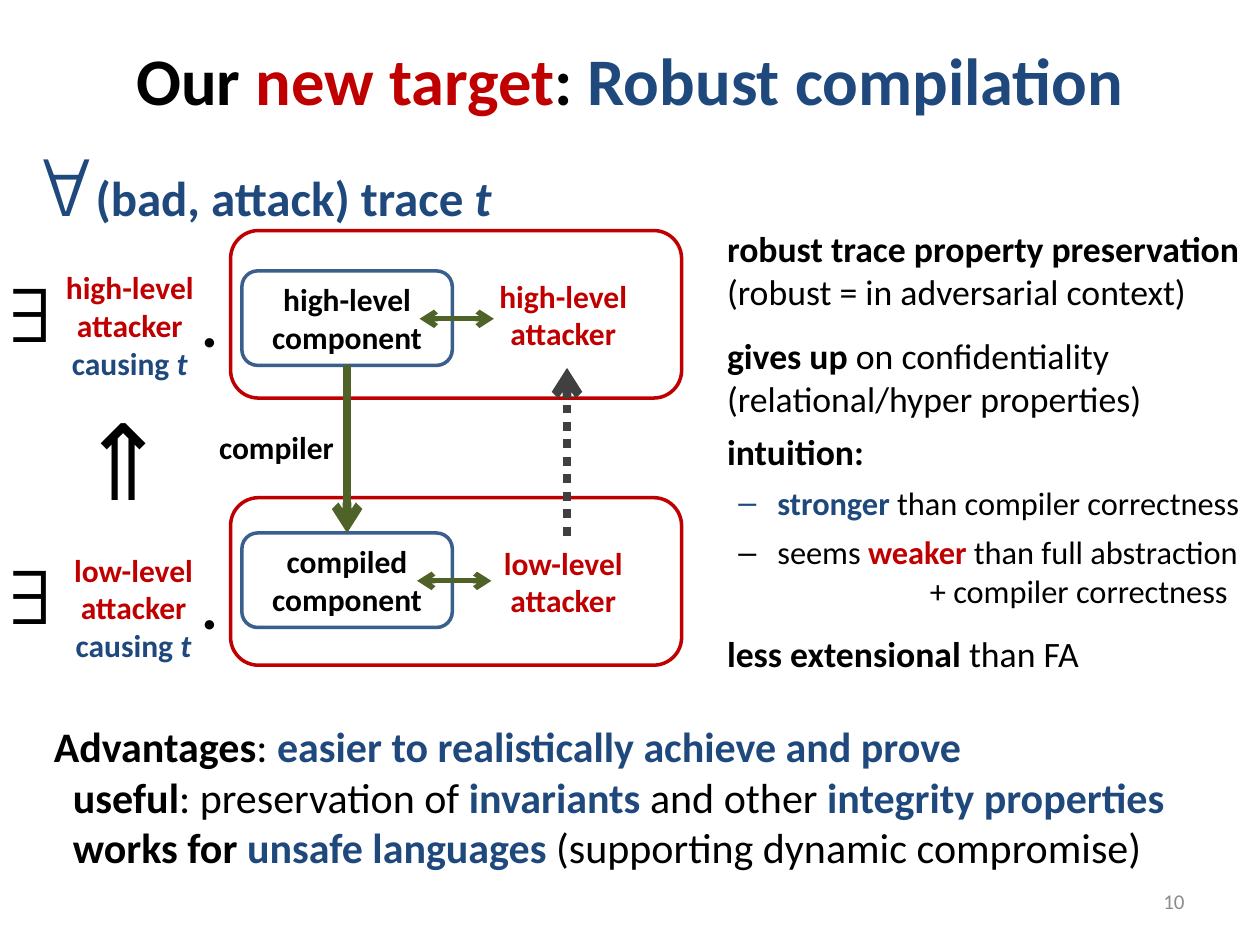
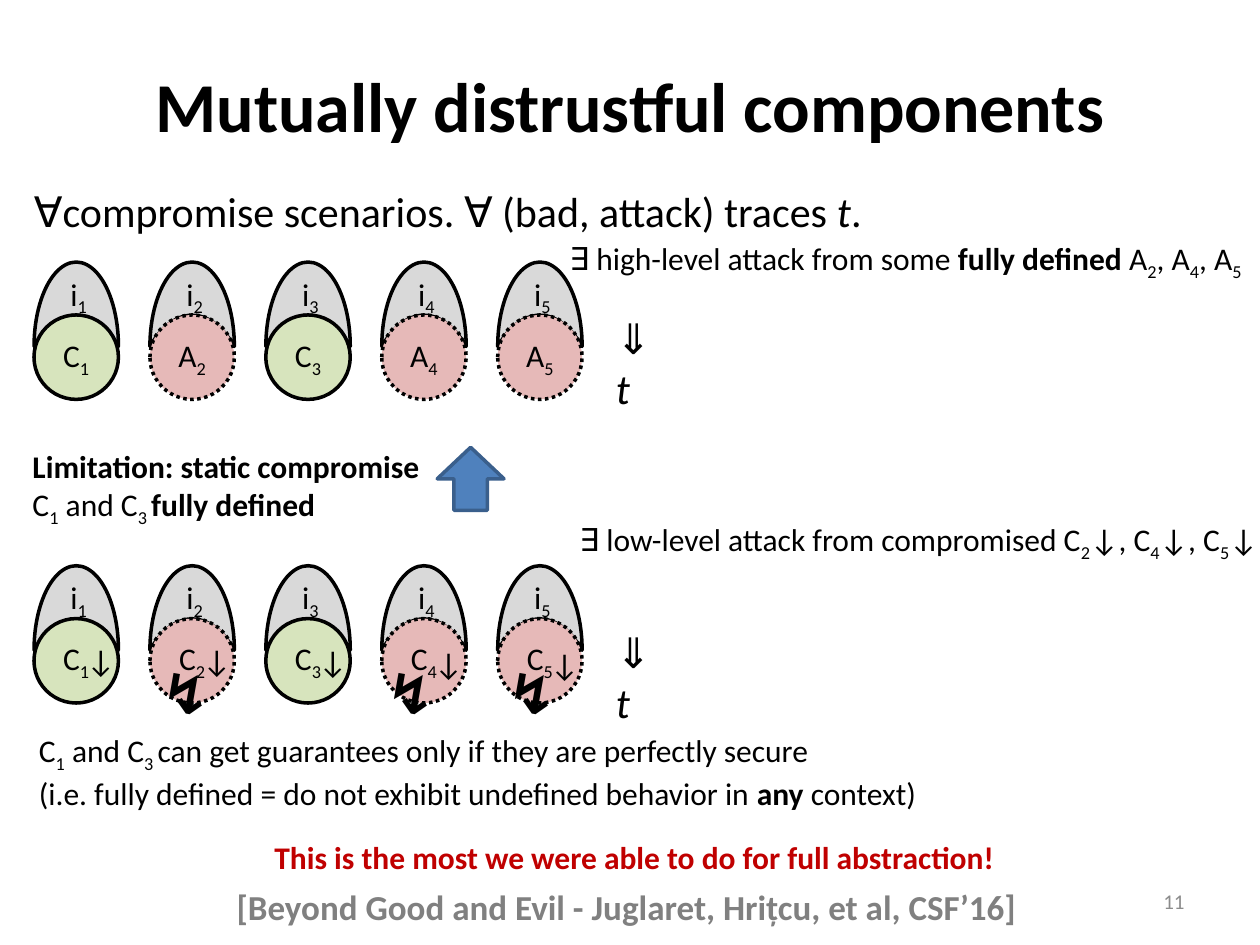
import dataclasses
import lxml.etree
import pptx
import pptx.dml.color
import pptx.enum.dml
import pptx.enum.shapes
import pptx.enum.text
import pptx.oxml.ns
import pptx.util

Inches = pptx.util.Inches
Form = pptx.enum.shapes.MSO_SHAPE
Align = pptx.enum.text.PP_ALIGN
Fit = pptx.enum.text.MSO_AUTO_SIZE
Anchor = pptx.enum.text.MSO_ANCHOR
qn = pptx.oxml.ns.qn


@dataclasses.dataclass(frozen=True)
class Theme:
    font: str = "Calibri"
    mono: str = "Courier New"
    black: str = "000000"
    white: str = "FFFFFF"
    red: str = "C00000"
    navy: str = "1F497D"
    blue: str = "4F81BD"
    edge: str = "3A5F8C"
    olive: str = "4F6228"
    dark: str = "404040"
    grey: str = "808080"
    pale: str = "8C8C8C"
    moon: str = "D9D9D9"
    green: str = "D7E4BD"
    pink: str = "E6B9B8"
    small: float = 12
    text: float = 18
    sub: float = 18.5
    body: float = 20.4
    cite: float = 20
    large: float = 24
    trace: float = 28
    bolt: float = 32
    dot: float = 36
    title: float = 38
    head: float = 40
    sign: float = 54
    imply: float = 60


def tint(code):
    return pptx.dml.color.RGBColor.from_string(code)


class Deck:
    def __init__(self, theme):
        self.theme = theme
        self.show = pptx.Presentation()
        self.show.slide_width = Inches(10)
        self.show.slide_height = Inches(7.5)
        self.inks = {"r": theme.red, "n": theme.navy, "y": theme.grey, "p": theme.pale}

    def start(self, form, page):
        self.slide = self.show.slides.add_slide(self.show.slide_layouts[form])
        self.pool = self.slide.shapes
        self.text((7.17, 6.95, 2.33, 0.4), f"p|{page}", self.theme.small,
                  Align.RIGHT, wrap=True).text_frame.vertical_anchor = Anchor.MIDDLE

    def group(self):
        self.pool = self.slide.shapes.add_group_shape().shapes

    def leave(self):
        self.pool = self.slide.shapes

    def style(self, run, code, size):
        font = run.font
        font.name = self.theme.mono if "m" in code else self.theme.font
        font.size = pptx.util.Pt(self.theme.sign if "m" in code else size)
        font.bold = "b" in code
        font.italic = "i" in code
        ink = next((self.inks[c] for c in code if c in self.inks), self.theme.black)
        font.color.rgb = tint(ink)
        if "s" in code:
            run._r.get_or_add_rPr().set("baseline", "-25000")
        if "k" in code:
            run._r.get_or_add_rPr().set("spc", "-150")

    def fill(self, frame, words, size, align=Align.LEFT):
        lines = words.split("\n")
        frame.text = "\n" * (len(lines) - 1)
        for para, line in zip(frame.paragraphs, lines):
            para.alignment = align
            bits = line.split("|")
            para.text = bits[1]
            for run in para.runs:
                self.style(run, bits[0], size)
            for code, part in zip(bits[2::2], bits[3::2]):
                run = para.add_run()
                run.text = part
                self.style(run, code, size)

    def place(self, shape, box):
        shape.left, shape.top, shape.width, shape.height = map(Inches, box)

    def title(self, box, words, size, space=1.0):
        shape = self.slide.shapes.title
        self.place(shape, box)
        frame = shape.text_frame
        frame.auto_size = Fit.NONE
        frame.vertical_anchor = Anchor.MIDDLE
        self.fill(frame, words, size, Align.CENTER)
        frame.paragraphs[0].line_spacing = space

    def indent(self, para, left, hang=0, mark=None):
        props = para._p.get_or_add_pPr()
        props.set("marL", str(Inches(left)))
        props.set("indent", str(Inches(hang)))
        if mark:
            lxml.etree.SubElement(props, qn("a:buChar"), char=mark)
        else:
            lxml.etree.SubElement(props, qn("a:buNone"))

    def body(self, box, rows):
        shape = self.slide.placeholders[1]
        self.place(shape, box)
        frame = shape.text_frame
        frame.auto_size = Fit.NONE
        self.fill(frame, "\n".join(row[0] for row in rows), self.theme.body)
        for para, (words, gap, left, mark) in zip(frame.paragraphs, rows):
            para.space_before = pptx.util.Pt(gap)
            if left:
                para.level = 1
                for run in para.runs:
                    run.font.size = pptx.util.Pt(self.theme.sub)
            self.indent(para, left, -0.31 if mark else 0, mark)

    def text(self, box, words, size=None, align=Align.LEFT, wrap=False, turn=0):
        shape = self.pool.add_textbox(*map(Inches, box))
        shape.rotation = turn
        frame = shape.text_frame
        frame.word_wrap = wrap
        frame.auto_size = Fit.SHAPE_TO_FIT_TEXT
        self.fill(frame, words, size or self.theme.text, align)
        return shape

    def shape(self, form, box, fill, line, words="", dots=False, turn=0, inset=0.1):
        shape = self.pool.add_shape(form, *map(Inches, box))
        shape.shadow.inherit = False
        shape.rotation = turn
        shape.fill.solid()
        shape.fill.fore_color.rgb = tint(fill)
        self.stroke(shape.line, line, 2, dots)
        if words:
            frame = shape.text_frame
            frame.margin_left = Inches(inset)
            frame.vertical_anchor = Anchor.MIDDLE
            self.fill(frame, words, self.theme.text, Align.CENTER)
        return shape

    def stroke(self, line, ink, width, dots):
        line.color.rgb = tint(ink)
        line.width = pptx.util.Pt(width)
        if dots:
            line.dash_style = pptx.enum.dml.MSO_LINE.ROUND_DOT

    def arrow(self, ends, ink, width, both=False, dots=False):
        link = self.pool.add_connector(pptx.enum.shapes.MSO_CONNECTOR.STRAIGHT,
                                       *map(Inches, ends))
        self.stroke(link.line, ink, width, dots)
        line = link.line._get_or_add_ln()
        for tag in ("a:headEnd", "a:tailEnd")[0 if both else 1:]:
            lxml.etree.SubElement(line, qn(tag), type="arrow")
        lxml.etree.SubElement(link._element.spPr, qn("a:effectLst"))
        return link


def robust(deck):
    look = deck.theme
    deck.start(1, 10)
    deck.title((0.5, 0, 9, 1.25),
               "b|Our |br|new target|b|: |bn|Robust compilation", look.title)
    deck.body((5.67, 1.75, 5.08, 3.88), [
        ("b|robust trace property preservation\v||(robust = in adversarial context)", 12, 0, None),
        ("b|gives up|| on confidentiality (relational/hyper properties)", 12, 0, None),
        ("b|intuition:", 6, 0, None),
        ("bn|stronger ||than compiler correctness", 6, 0.4, "–"),
        ("|seems |br|weaker ||than full abstraction", 6, 0.4, "–"),
        ("|+ compiler correctness", 0, 1.61, None),
        ("b|less extensional|| than FA", 12, 0, None),
    ])
    for top, level in ((1.83, "high"), (3.95, "low")):
        deck.shape(Form.ROUNDED_RECTANGLE, (1.83, top, 3.58, 1.33), look.white,
                   look.red, f"br|{level}-level\vattacker", inset=1.8)
    source, target = [
        deck.shape(Form.ROUNDED_RECTANGLE, (1.92, top, 1.67, 0.75), look.white,
                   look.edge, f"b|{name}\vcomponent")
        for top, name in ((2.15, "high-level"), (4.23, "compiled"))]
    for left, top in ((3.31, 4.61), (3.33, 2.53)):
        deck.arrow((left, top, left + 0.59, top), look.olive, 3, both=True)
    for top, level, width in ((2.08, "high", 1.32), (4.32, "low", 1.38)):
        deck.text((0.37, top, width, 1.01),
                  f"br|{level}-level\vattacker\nbn|causing |bni|t",
                  align=Align.CENTER, wrap=True)
        deck.text((-0.08, top - 0.16, 0.66, 1.01), "bm|∃")
        deck.text((1.5, top + 0.13, 0.34, 0.71), "b|.", look.dot)
    link = deck.arrow((2.75, 2.9, 2.75, 4.23), look.olive, 5)
    link.begin_connect(source, 2)
    link.end_connect(target, 0)
    deck.text((1.63, 3.35, 1.12, 0.4), "b|compiler", align=Align.RIGHT)
    deck.arrow((4.5, 4.25, 4.5, 2.92), look.dark, 5, dots=True)
    deck.text((0.21, 0.92, 3.85, 1.01),
              "bmn|∀|bn|(bad, attack) trace |bni|t", look.trace)
    gains = deck.text(
        (0.33, 5.67, 9.11, 1.31),
        "b|Advantages||: |bn|easier to realistically achieve and prove\n"
        "b|useful||: preservation of |bn|invariants ||and other |bn|integrity properties\n"
        "b|works for |bn|unsafe languages|| (supporting dynamic compromise)", look.large)
    for para in gains.text_frame.paragraphs[1:]:
        deck.indent(para, 0.15)
    deck.text((0.45, 3.1, 0.93, 1.11), "|⇒", look.imply, turn=270)


def row(deck, top, names, low):
    look = deck.theme
    deck.group()
    for spot, name in enumerate(names):
        left = 0.27 + 0.92 * spot
        held = spot in (1, 3, 4)
        moon = deck.shape(Form.MOON, (left, top, 0.67, 0.67), look.moon, look.black, turn=90)
        moon.adjustments[0] = 0.63
        deck.text((left + 0.19, top + 0.05, 0.35, 0.4), f"|i|s|{spot + 1}")
        deck.shape(Form.OVAL, (left, top + 0.42, 0.67, 0.67),
                   look.pink if held else look.green, look.black,
                   f"|{name}|s|{spot + 1}", dots=held)
        if low:
            drop = 0.55 + 0.01 * max(0, spot - 1)
            deck.text((left + 0.32, top + drop, 0.43, 0.4), "|↓")
    deck.leave()
    deck.text((4.79, top + (0.43 if low else 0.35), 0.59, 0.9), "|⇓\ni|t", look.large, wrap=True)


def mutual(deck):
    look = deck.theme
    deck.start(5, 11)
    deck.title((0.5, 0.17, 9, 1.25), "b|Mutually distrustful components", look.head, 1.1)
    row(deck, 4.49, "CCCCC", True)
    row(deck, 2.08, "CACAA", False)
    deck.shape(Form.DOWN_ARROW, (3.47, 3.55, 0.53, 0.5), look.blue, look.edge, turn=180)
    for left in (1.19, 2.98, 3.94):
        deck.text((left, 5.18, 0.46, 0.64), "b|↯", look.bolt)
    deck.text((0.17, 1.42, 6.98, 0.5),
              "|∀compromise scenarios. ∀ (bad, attack) traces |i|t||.", look.large)
    deck.text((1.78, 6.98, 6.44, 0.44),
              "by|[Beyond Good and Evil - Juglaret, Hrițcu, et al, CSF’16]", look.cite)
    deck.text((0.16, 3.5, 3.84, 0.71),
              "b|Limitation: static compromise\n|C|s|1|| and C|s|3 |b|fully defined", wrap=True)
    deck.text((4.42, 1.85, 5.59, 0.4),
              "|∃ high-level attack from some |b|fully defined|| A|s|2||, A|s|4||, A|s|5")
    deck.text((4.5, 4.08, 6.14, 0.4),
              "|∃ low-level attack from compromised C|s|2|k|↓||, C|s|4||↓, C|s|5||↓", wrap=True)
    deck.text((0.21, 5.75, 7.25, 0.71),
              "|C|s|1|| and C|s|3 ||can get guarantees only if they are perfectly secure\n"
              "|(i.e. fully defined = do not exhibit undefined behavior in |b|any|| context)")
    deck.text((2.08, 6.6, 5.97, 0.4),
              "br|This is the most we were able to do for full abstraction!")


def main():
    deck = Deck(Theme())
    robust(deck)
    mutual(deck)
    deck.show.save("out.pptx")


if __name__ == "__main__":
    main()
